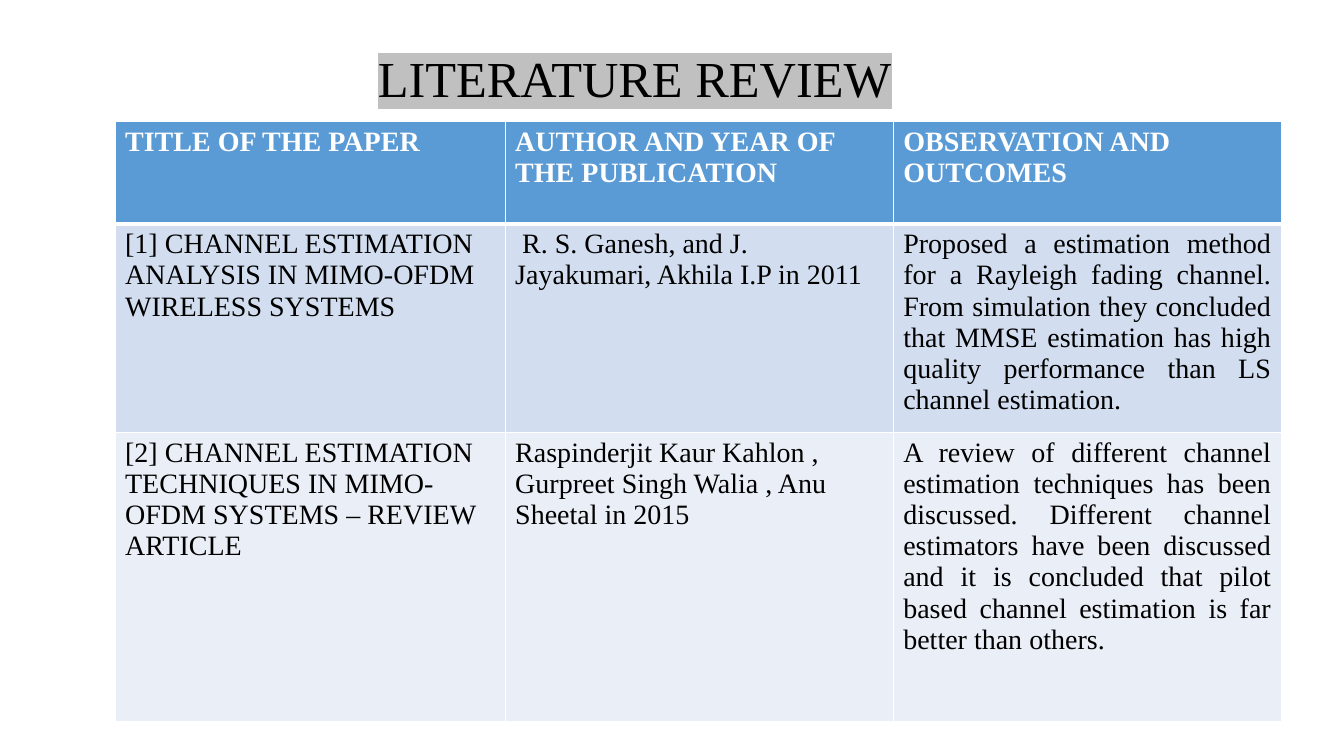
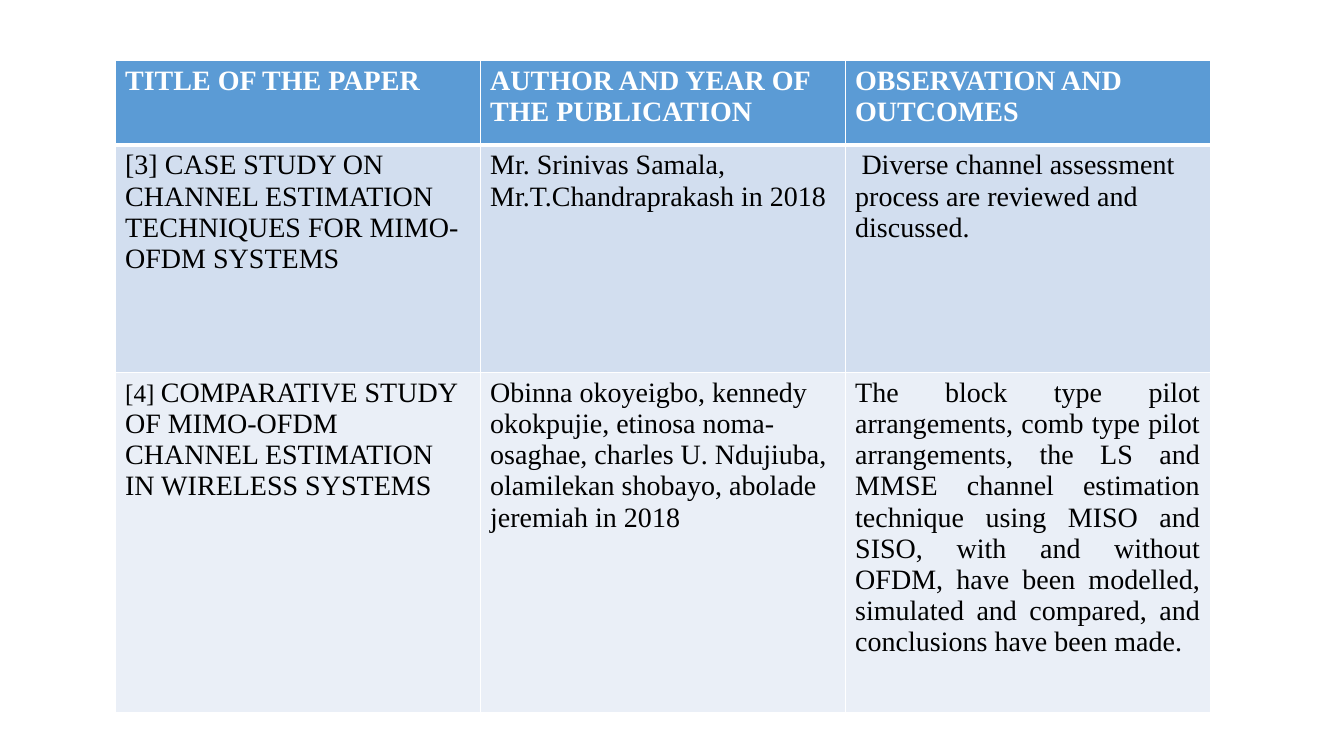
"""Builds two literature review slides, each with a table of papers."""
import dataclasses

import lxml.etree
import pptx
import pptx.dml.color
import pptx.enum.text
import pptx.oxml.ns
import pptx.util

Cm = pptx.util.Cm
Pt = pptx.util.Pt
qn = pptx.oxml.ns.qn
ALIGN = pptx.enum.text.PP_ALIGN

FONT = "Times New Roman"
WHITE, BLACK, SILVER = "FFFFFF", "000000", "C0C0C0"
ROW_FILLS = ["5B9BD5", "D2DEEF", "EAEFF7"]
TITLE_ONLY, BLANK = 5, 6
TABLE_LEFT = 2.9


@dataclasses.dataclass
class Entry:
    """Text of one table cell, with an optional smaller lead-in."""
    text: str
    lead: str = ""
    justified: bool = False


HEADINGS = [
    Entry("TITLE OF THE PAPER"),
    Entry("AUTHOR AND YEAR OF THE PUBLICATION"),
    Entry("OBSERVATION AND OUTCOMES"),
]

EARLIER_PAPERS = [
    [
        Entry("[1] CHANNEL ESTIMATION ANALYSIS IN MIMO-OFDM WIRELESS SYSTEMS"),
        Entry(" R. S. Ganesh, and J. Jayakumari, Akhila I.P in 2011"),
        Entry("Proposed a estimation method for a Rayleigh fading channel. From "
              "simulation they concluded that MMSE estimation has high quality "
              "performance than LS channel estimation.", justified=True),
    ],
    [
        Entry("[2] CHANNEL ESTIMATION TECHNIQUES IN MIMO-OFDM SYSTEMS – REVIEW ARTICLE"),
        Entry("Raspinderjit Kaur Kahlon , Gurpreet Singh Walia , Anu Sheetal in 2015"),
        Entry("A review of different channel estimation techniques has been "
              "discussed. Different channel estimators have been discussed and it "
              "is concluded that pilot based channel estimation is far better than "
              "others.", justified=True),
    ],
]

LATER_PAPERS = [
    [
        Entry("[3] CASE STUDY ON CHANNEL ESTIMATION TECHNIQUES FOR MIMO-OFDM SYSTEMS"),
        Entry("Mr. Srinivas Samala, Mr.T.Chandraprakash in 2018"),
        Entry("Diverse channel assessment process are reviewed and discussed.",
              lead=" "),
    ],
    [
        Entry("COMPARATIVE STUDY OF MIMO-OFDM CHANNEL ESTIMATION IN WIRELESS SYSTEMS",
              lead="[4] "),
        Entry("Obinna okoyeigbo, kennedy okokpujie, etinosa noma-osaghae, charles U. "
              "Ndujiuba, olamilekan shobayo, abolade jeremiah in 2018"),
        Entry("The block type pilot arrangements, comb type pilot arrangements, the "
              "LS and MMSE channel estimation technique using MISO and SISO, with "
              "and without OFDM, have been modelled, simulated and compared, and "
              "conclusions have been made.", justified=True),
    ],
]


def rgb(value):
    """Return the colour for a hex string."""
    return pptx.dml.color.RGBColor.from_string(value)


def add_text(paragraph, text, size=20, color=BLACK, bold=False, highlight=None):
    """Append a formatted run to a paragraph."""
    run = paragraph.add_run()
    run.text = text
    run.font.name = FONT
    run.font.size = Pt(size)
    run.font.bold = bold
    run.font.color.rgb = rgb(color)
    if highlight:
        marker = lxml.etree.Element(qn("a:highlight"))
        lxml.etree.SubElement(marker, qn("a:srgbClr"), val=highlight)
        run.font._element.find(qn("a:solidFill")).addnext(marker)


def set_borders(cell, color=WHITE, **widths):
    """Draw the cell's sides, 1 pt wide unless given as L, R, T or B."""
    properties = cell._tc.get_or_add_tcPr()
    for side in "LRTB":
        line = lxml.etree.SubElement(properties, qn(f"a:ln{side}"),
                                     w=str(Pt(widths.get(side, 1))))
        fill = lxml.etree.SubElement(line, qn("a:solidFill"))
        lxml.etree.SubElement(fill, qn("a:srgbClr"), val=color)


def fill_cell(cell, entry, row):
    """Write one entry into a cell and style it for its row."""
    heading = row == 0
    set_borders(cell, **({"B": 3} if heading else {"T": 3} if row == 1 else {}))
    cell.fill.solid()
    cell.fill.fore_color.rgb = rgb(ROW_FILLS[row])
    paragraph = cell.text_frame.paragraphs[0]
    paragraph.alignment = ALIGN.JUSTIFY if entry.justified else ALIGN.LEFT
    if entry.lead:
        add_text(paragraph, entry.lead, size=18)
    add_text(paragraph, entry.text, color=WHITE if heading else BLACK, bold=heading)


def add_paper_table(slide, papers, top, widths, heights):
    """Add a table of papers below the shared headings."""
    entries = [HEADINGS] + papers
    table = slide.shapes.add_table(len(heights), len(widths), Cm(TABLE_LEFT), Cm(top),
                                   Cm(sum(widths)), Cm(sum(heights))).table
    table.horz_banding = False
    for column, width in zip(table.columns, widths):
        column.width = Cm(width)
    for index, height in enumerate(heights):
        table.rows[index].height = Cm(height)
        for position, entry in enumerate(entries[index]):
            fill_cell(table.cell(index, position), entry, index)


def set_title(slide, text):
    """Place and write the highlighted slide title."""
    title = slide.shapes.title
    title.left, title.top, title.width, title.height = map(Cm, (9.27, 1.07, 16.94, 1.8))
    title.text_frame.vertical_anchor = pptx.enum.text.MSO_ANCHOR.TOP
    paragraph = title.text_frame.paragraphs[0]
    paragraph.alignment = ALIGN.LEFT
    add_text(paragraph, text, size=36, highlight=SILVER)


def main():
    """Build and save the presentation."""
    deck = pptx.Presentation()
    deck.slide_width, deck.slide_height = Cm(33.87), Cm(19.05)

    opening = deck.slides.add_slide(deck.slide_layouts[TITLE_ONLY])
    set_title(opening, "LITERATURE REVIEW")
    add_paper_table(opening, EARLIER_PAPERS, top=3.07,
                    widths=[9.83, 9.78, 9.78], heights=[2.57, 5.26, 7.29])

    continuation = deck.slides.add_slide(deck.slide_layouts[BLANK])
    add_paper_table(continuation, LATER_PAPERS, top=1.52,
                    widths=[9.2] * 3, heights=[2.13, 5.74, 8.56])

    deck.save("out.pptx")


if __name__ == "__main__":
    main()
